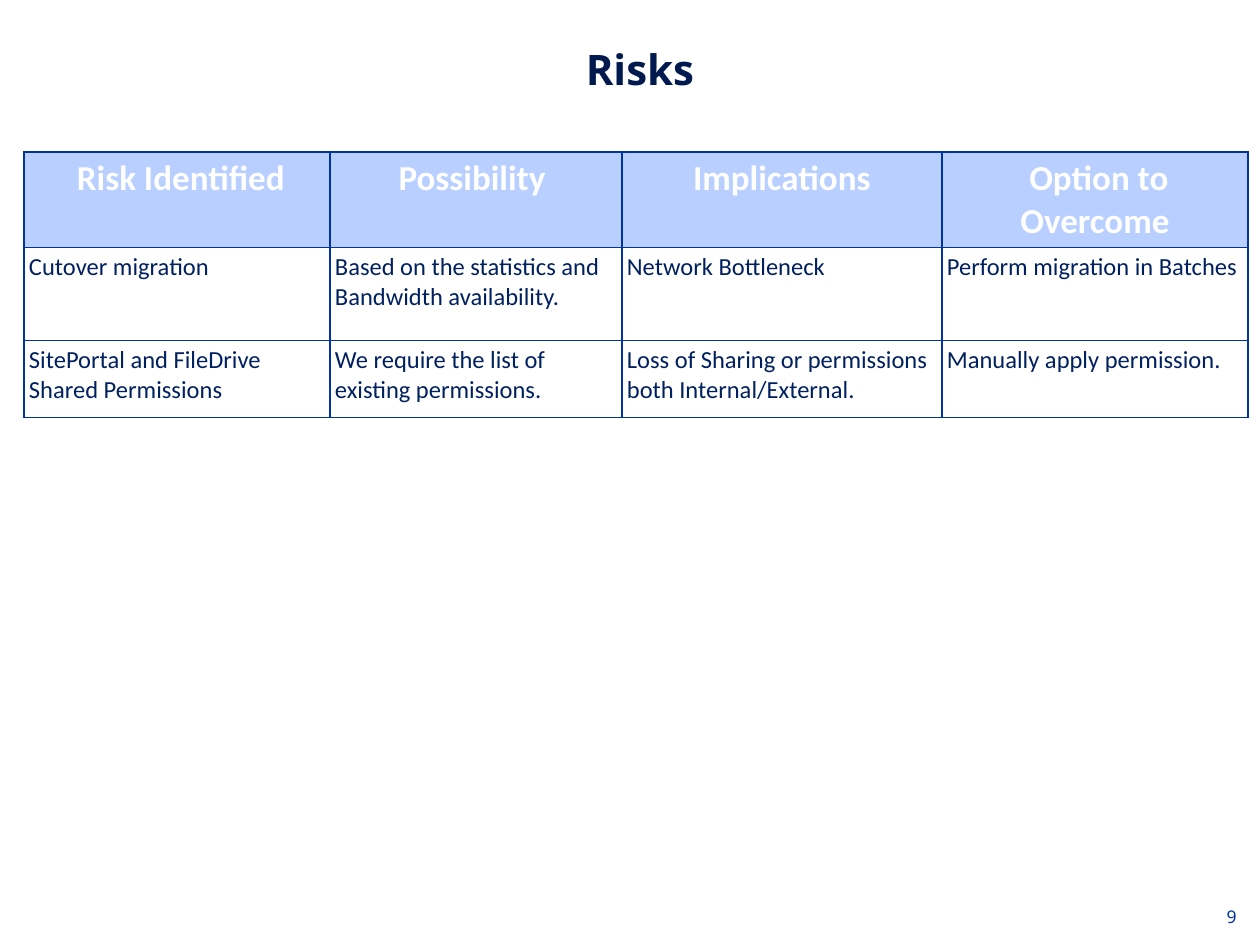
from lxml import etree
from pptx import Presentation, util as u
from pptx.dml.color import RGBColor
from pptx.enum import text
from pptx.oxml.ns import qn

PX = 914400 // 126
COLORS = {"title": "001A4F", "line": "00349E", "header": "B8CFFF",
          "white": "FFFFFF", "body": "002060"}


def add_text(frame, words, font, size, color, bold=False, align=text.PP_ALIGN.LEFT):
    paragraph = frame.paragraphs[0]
    paragraph.alignment = align
    run = paragraph.add_run()
    run.text = words
    run.font.name = font
    run.font.size = u.Pt(size)
    run.font.bold = bold
    run.font.color.rgb = RGBColor.from_string(COLORS[color])


def add_borders(cell, color):
    properties = cell._tc.get_or_add_tcPr()
    for position, side in enumerate(("lnL", "lnR", "lnT", "lnB")):
        line = etree.Element(qn(f"a:{side}"), w=str(u.Pt(1)))
        fill = etree.SubElement(line, qn("a:solidFill"))
        etree.SubElement(fill, qn("a:srgbClr"), val=COLORS[color])
        properties.insert(position, line)


prs = Presentation()
prs.slide_width, prs.slide_height = 1260 * PX, 945 * PX
slide = prs.slides.add_slide(prs.slide_layouts[5])

# Title
title = slide.shapes.title
title.left, title.top, title.width, title.height = (n * PX for n in (187, 23, 906, 92))
title.text_frame.vertical_anchor = text.MSO_ANCHOR.MIDDLE
add_text(title.text_frame, "Risks", "Noto Sans", 24, "title", True, text.PP_ALIGN.CENTER)

# Risk table
risks = [
    (" Risk Identified", "Possibility ", "Implications", " Option to Overcome"),
    ("Cutover migration", "Based on the statistics and Bandwidth availability.",
     "Network Bottleneck", "Perform migration in Batches"),
    ("SitePortal and FileDrive Shared Permissions",
     "We require the list of existing permissions.",
     "Loss of Sharing or permissions both Internal/External.",
     "Manually apply permission."),
]
widths = (306, 292, 320, 306)
heights = (95, 93, 77)
table = slide.shapes.add_table(len(heights), len(widths), 24 * PX, 152 * PX,
                               sum(widths) * PX, sum(heights) * PX).table
for column, width in zip(table.columns, widths):
    column.width = width * PX
for row, height, entries in zip(table.rows, heights, risks):
    row.height = height * PX
    is_header = entries is risks[0]
    for cell, words in zip(row.cells, entries):
        cell.margin_left = cell.margin_right = 5 * PX
        cell.margin_top = cell.margin_bottom = 5 * PX
        cell.fill.solid()
        cell.fill.fore_color.rgb = RGBColor.from_string(
            COLORS["header" if is_header else "white"])
        add_borders(cell, "line")
        if is_header:
            add_text(cell.text_frame, words, "Calibri", 20, "white", True,
                     text.PP_ALIGN.CENTER)
        else:
            add_text(cell.text_frame, words, "Calibri", 14, "body")

# Page number
page_number = slide.shapes.add_textbox(*(n * PX for n in (955, 900, 294, 50))).text_frame
page_number.word_wrap = True
add_text(page_number, "9", "Noto Sans", 10, "line", align=text.PP_ALIGN.RIGHT)

prs.save("out.pptx")
